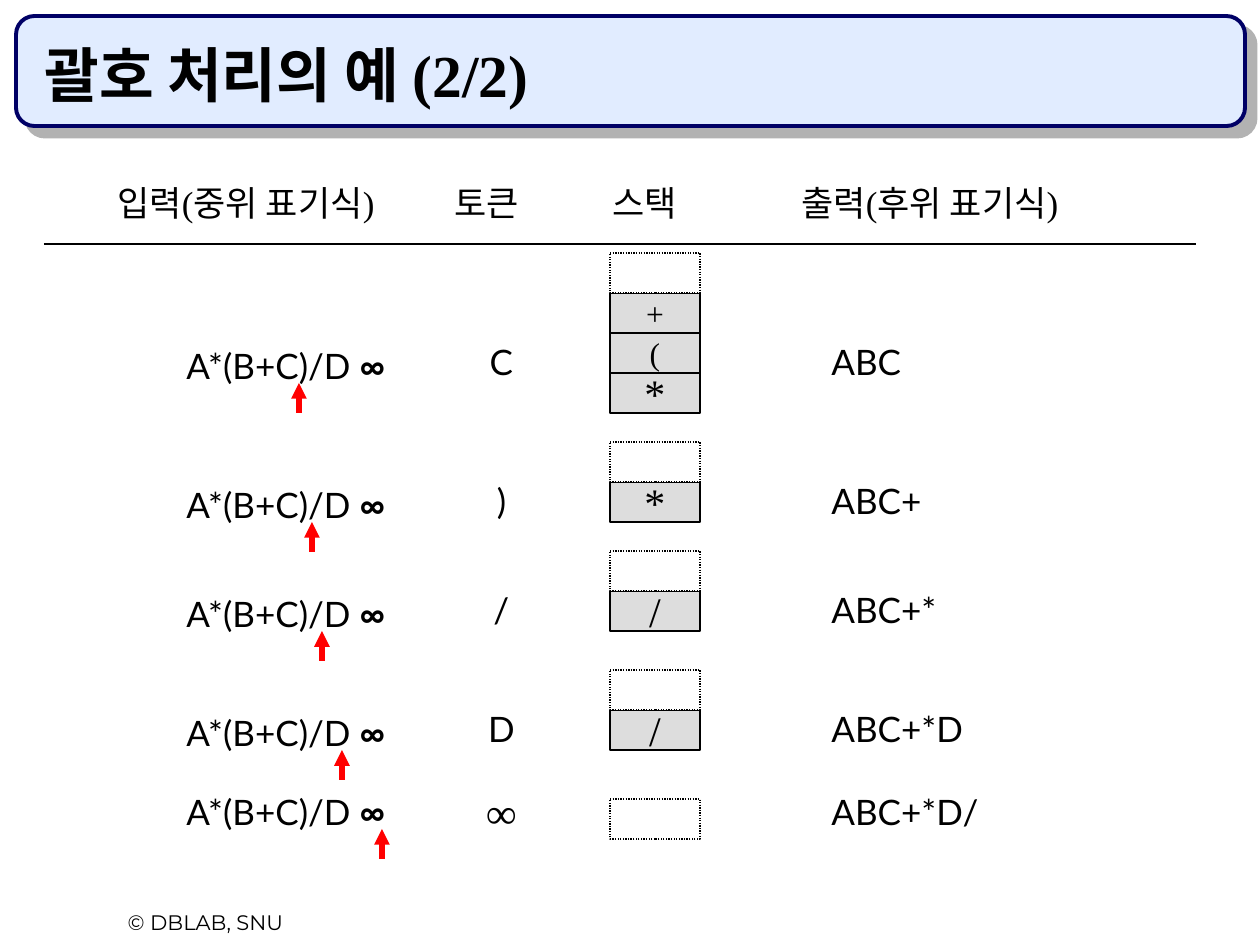
from lxml import etree
from pptx import Presentation
from pptx.dml.color import RGBColor
from pptx.enum.dml import MSO_LINE
from pptx.enum.shapes import MSO_CONNECTOR, MSO_SHAPE
from pptx.enum.text import MSO_ANCHOR, PP_ALIGN
from pptx.oxml.ns import qn
from pptx.util import Pt

EMU_PER_PX = 914400 / 126
BLACK = RGBColor(0x00, 0x00, 0x00)
WHITE = RGBColor(0xFF, 0xFF, 0xFF)
RED = RGBColor(0xFF, 0x00, 0x00)
NAVY = RGBColor(0x00, 0x00, 0x66)
PALE_BLUE = RGBColor(0xE1, 0xEC, 0xFF)
CELL_GRAY = RGBColor(0xDD, 0xDD, 0xDD)
SHADOW_GRAY = RGBColor(0xB2, 0xB2, 0xB2)
LEFT, CENTER = PP_ALIGN.LEFT, PP_ALIGN.CENTER
TOP, MIDDLE, BOTTOM = MSO_ANCHOR.TOP, MSO_ANCHOR.MIDDLE, MSO_ANCHOR.BOTTOM
RECTANGLE, ROUNDED = MSO_SHAPE.RECTANGLE, MSO_SHAPE.ROUNDED_RECTANGLE
STRAIGHT = MSO_CONNECTOR.STRAIGHT
DOTTED = MSO_LINE.ROUND_DOT
SERIF, SANS, FOOTER_FONT = "Times New Roman", "Lato", "Montserrat"

CELL_WIDTH, CELL_HEIGHT = 90, 40
HEADINGS = [
    (105, 307, "입력(중위 표기식)"),
    (442, 108, "토큰"),
    (600, 139, "스택"),
    (789, 307, "출력(후위 표기식)"),
]
STEPS = [
    (338, 299, "C", ["*", "(", "+"], 413, "ABC"),
    (477, 312, ")", ["*"], 522, "ABC+"),
    (586, 322, "/", ["/"], 631, "ABC+*"),
    (705, 342, "D", ["/"], 750, "ABC+*D"),
    (784, 382, "∞", [], 839, "ABC+*D/"),
]


def px(*lengths):
    """Turn pixel lengths into EMU."""
    return [round(length * EMU_PER_PX) for length in lengths]


def write(shape, text, bold_tail="", size=20, font=SERIF, bold=False,
          align=LEFT, anchor=TOP):
    """Fill a shape with one paragraph, optionally ending in bold."""
    frame = shape.text_frame
    frame.word_wrap = True
    frame.vertical_anchor = anchor
    paragraph = frame.paragraphs[0]
    paragraph.alignment = align
    paragraph.space_before = Pt(size * 0.625)
    for part, is_bold in ((text, bold), (bold_tail, True)):
        if part:
            run = paragraph.add_run()
            run.text = part
            run.font.size = Pt(size)
            run.font.name = font
            run.font.bold = is_bold
            run.font.color.rgb = BLACK


def add_label(slide, box, text, **text_format):
    """Place a text box."""
    write(slide.shapes.add_textbox(*px(*box)), text, **text_format)


def add_box(slide, kind, box, fill, line, weight):
    """Place a filled and outlined shape without a shadow."""
    shape = slide.shapes.add_shape(kind, *px(*box))
    shape.shadow.inherit = False
    shape.fill.solid()
    shape.fill.fore_color.rgb = fill
    shape.line.color.rgb = line
    shape.line.width = Pt(weight)
    return shape


def add_line(slide, ends, color, weight, arrow=False):
    """Draw a straight line, optionally with an arrowhead at its end."""
    connector = slide.shapes.add_connector(STRAIGHT, *px(*ends))
    connector.line.color.rgb = color
    connector.line.width = Pt(weight)
    properties = connector._element.spPr
    etree.SubElement(properties, qn("a:effectLst"))
    if arrow:
        etree.SubElement(properties.find(qn("a:ln")), qn("a:tailEnd"), type="triangle")


def add_title_banner(slide, left, top, width, height):
    """Draw the shadowed title banner."""
    banner = add_box(slide, ROUNDED, (left, top, width, height), PALE_BLUE, NAVY, 2.25)
    effects = banner._element.spPr.find(qn("a:effectLst"))
    shadow = etree.SubElement(effects, qn("a:outerShdw"), dist=str(Pt(8.5)),
                              dir="2700000", algn="ctr", rotWithShape="0")
    etree.SubElement(shadow, qn("a:srgbClr"), val=str(SHADOW_GRAY))
    add_label(slide, (left + 16, top + 16, width - 42, height - 26),
              "괄호 처리의 예 (2/2)", size=34, bold=True, anchor=BOTTOM)


def add_header(slide, left, top, width):
    """Place the column headings above their rule."""
    for heading_left, heading_width, heading in HEADINGS:
        add_label(slide, (left + heading_left, top, heading_width, 55), heading)
    add_line(slide, (left + 44, top + 69, left + width, top + 69), BLACK, 0.75)


def add_stack(slide, left, bottom, symbols):
    """Pile the stack cells up from the bottom, with a free cell on top."""
    for level, symbol in enumerate(symbols + [""], start=1):
        box = (left, bottom - level * CELL_HEIGHT, CELL_WIDTH, CELL_HEIGHT)
        cell = add_box(slide, RECTANGLE, box, CELL_GRAY if symbol else WHITE, BLACK, 0.75)
        if symbol:
            write(cell, symbol, size=18 if symbol in "(+" else 24,
                  align=CENTER, anchor=MIDDLE)
        else:
            cell.line.dash_style = DOTTED


def add_step(slide, left, top, pointer, token, symbols, stack_bottom, output):
    """Place one conversion step: input with pointer, token, stack, output."""
    add_label(slide, (left + 174, top, 268, 55), "A*(B+C)/D ", bold_tail="∞", font=SANS)
    add_line(slide, (left + pointer, top + 75, left + pointer, top + 45), RED, 3, arrow=True)
    is_end = token == "∞"
    add_label(slide, (left + 412, top - 4, 179, 55), token, size=24 if is_end else 20,
              font=SERIF if is_end else SANS, bold=is_end, align=CENTER)
    add_stack(slide, left + 610, stack_bottom, symbols)
    add_label(slide, (left + 819, top if is_end else top - 4, 179, 55), output, font=SANS)


def main():
    """Build the slide and save it."""
    presentation = Presentation()
    presentation.slide_width, presentation.slide_height = px(1260, 945)
    slide = presentation.slides.add_slide(presentation.slide_layouts[6])
    add_title_banner(slide, 16, 16, 1229, 110)
    add_label(slide, (53, 903, 305, 38), "© DBLAB, SNU", size=12,
              font=FOOTER_FONT, align=CENTER)
    add_header(slide, 0, 175, 1196)
    for step in STEPS:
        add_step(slide, 0, *step)
    presentation.save("out.pptx")


if __name__ == "__main__":
    main()
